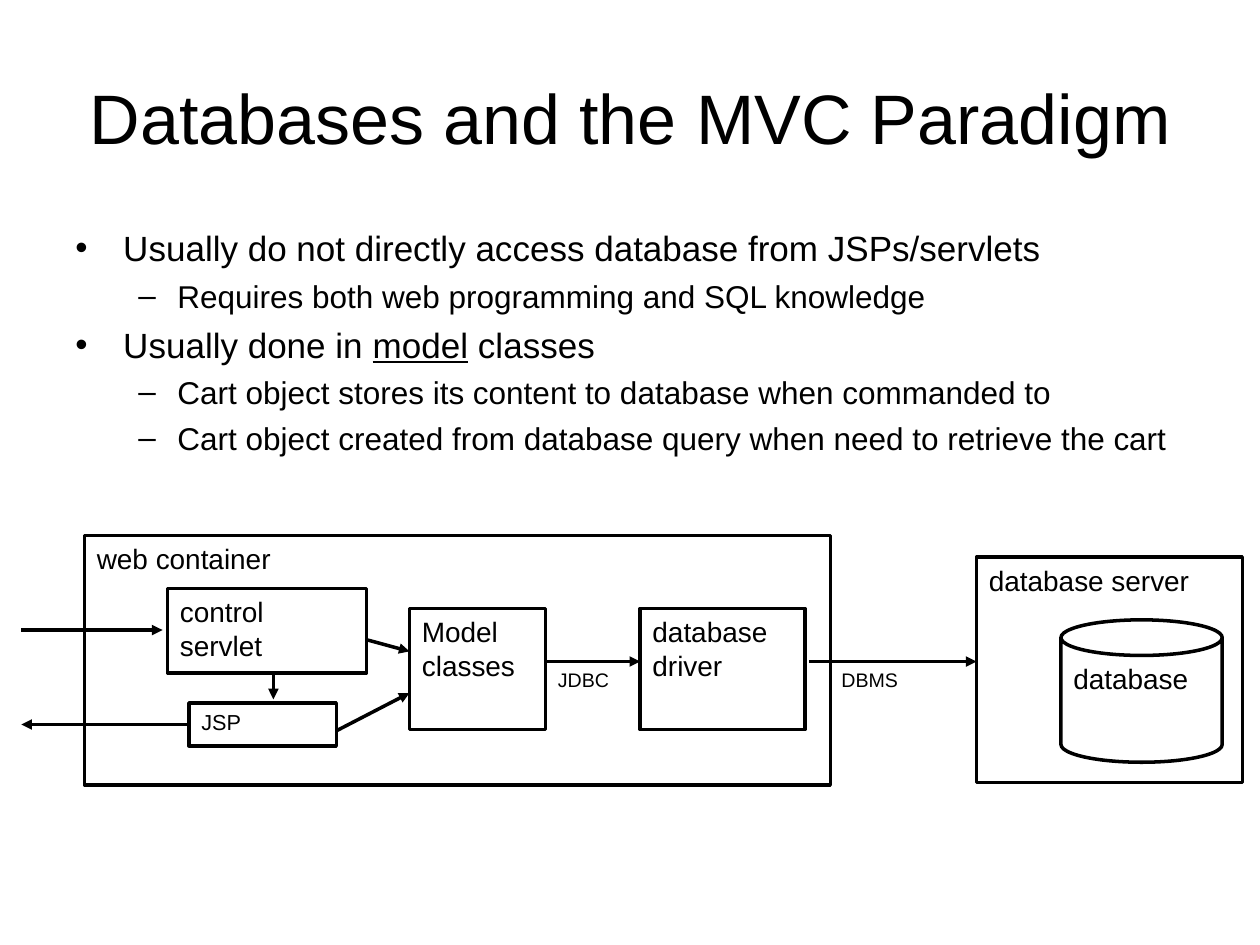
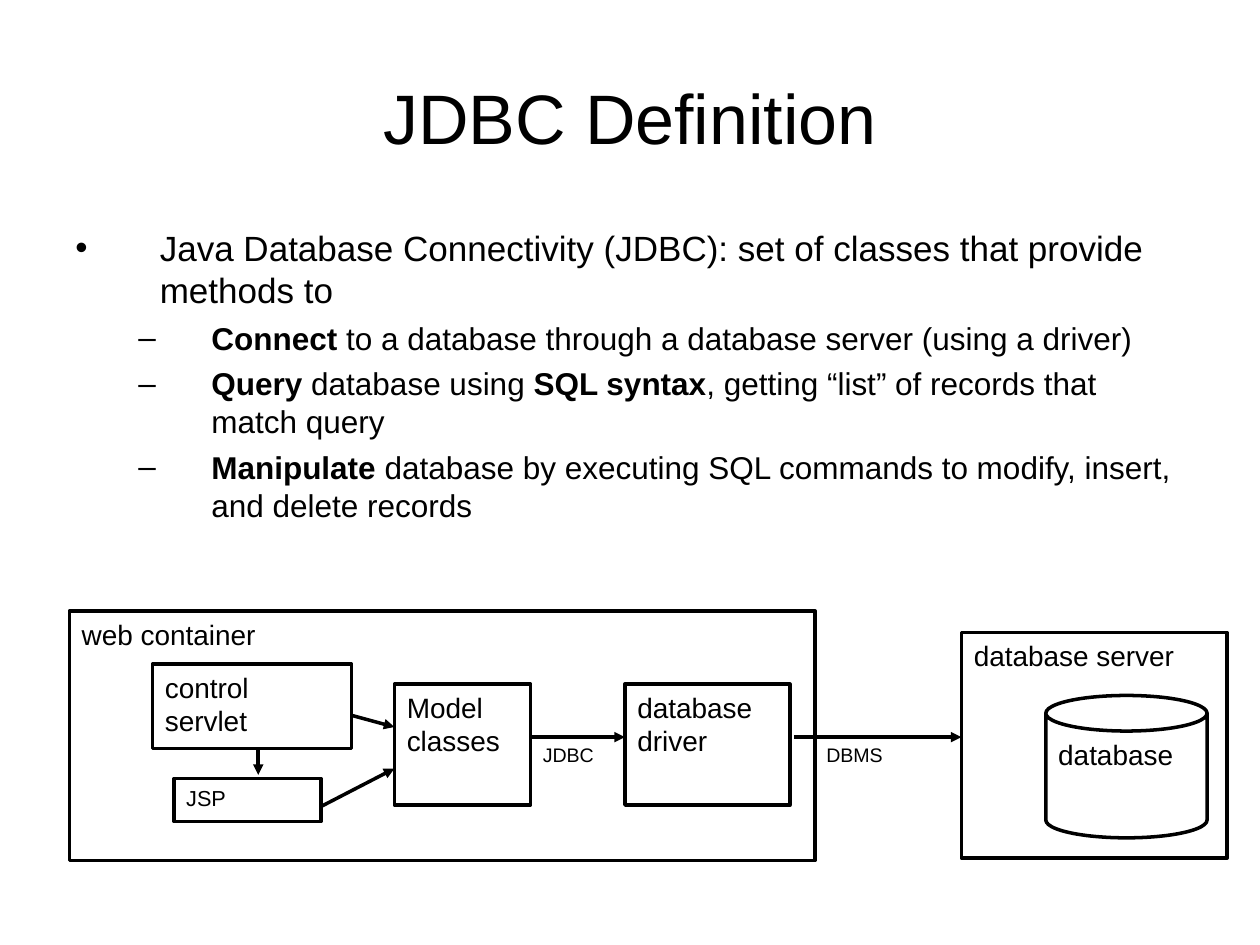
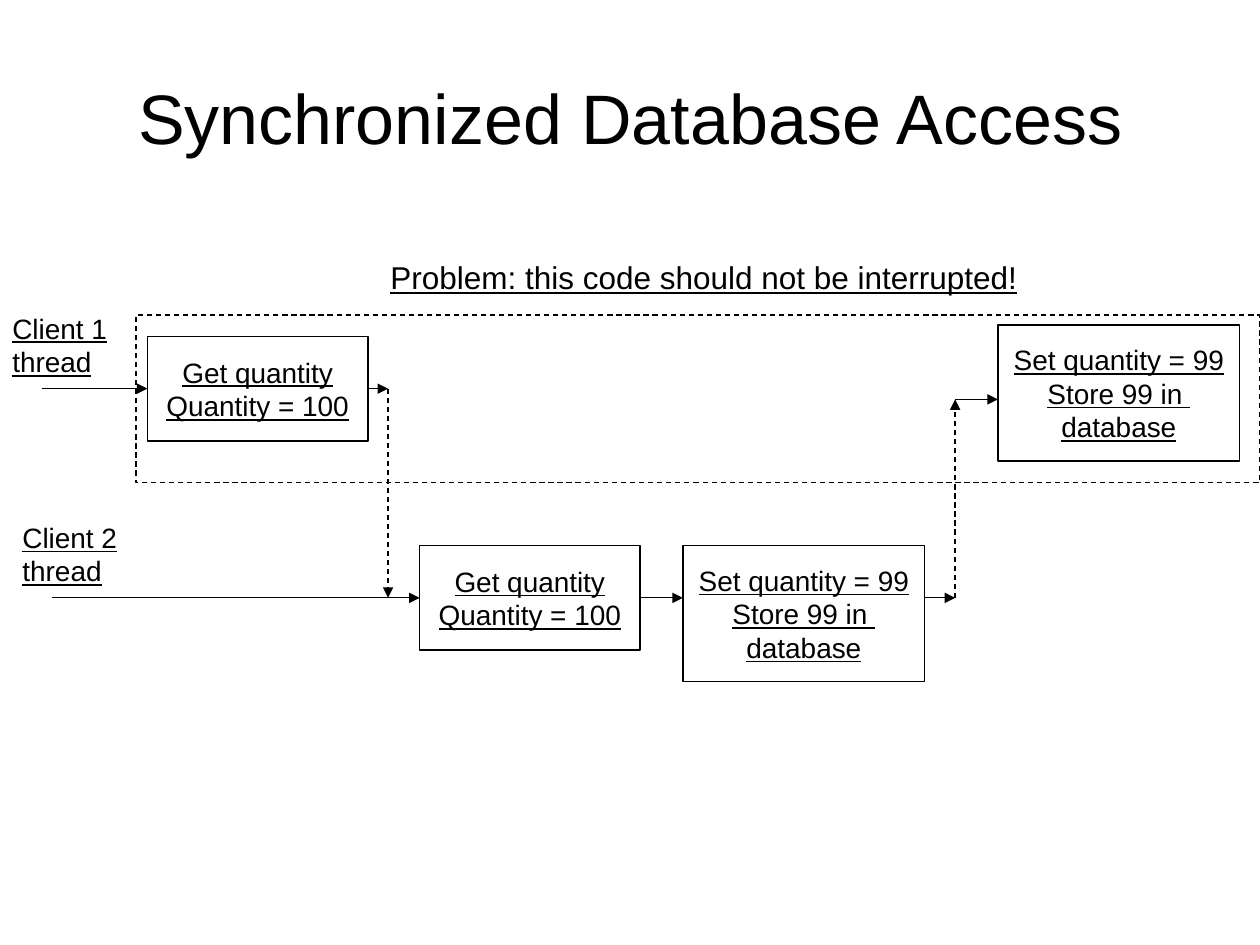
from lxml import etree
from pptx import Presentation
from pptx.dml.color import RGBColor
from pptx.enum.dml import MSO_LINE
from pptx.enum.shapes import MSO_CONNECTOR, MSO_SHAPE
from pptx.enum.text import MSO_ANCHOR, MSO_AUTO_SIZE, PP_ALIGN
from pptx.oxml.ns import qn
from pptx.util import Inches, Pt

RECT, CAN = MSO_SHAPE.RECTANGLE, MSO_SHAPE.CAN
STRAIGHT = MSO_CONNECTOR.STRAIGHT
DASH = MSO_LINE.DASH
TOP, MIDDLE = MSO_ANCHOR.TOP, MSO_ANCHOR.MIDDLE
LEFT, CENTER = PP_ALIGN.LEFT, PP_ALIGN.CENTER
GROW = MSO_AUTO_SIZE.SHAPE_TO_FIT_TEXT
LEFT_SIDE, RIGHT_SIDE = 1, 3

FONT = "Arial"
BLACK = "000000"
BOLD, UNDERLINE = {"bold": True}, {"underline": True}
THICK, THIN = 2, 0.75

# Bullet character, text size and space before for each level
LEVELS = [("•", 20, 5), ("–", 18, 4.5)]
# Left margin and hanging indent for each level
NARROW_INDENTS = [(0.38, -0.38), (0.81, -0.31)]
WIDE_INDENTS = [(0.67, -0.67), (1.08, -0.58)]


def color(hex_code):
    return RGBColor.from_string(hex_code)


def set_values(target, values):
    for name, value in values.items():
        setattr(target, name, value)


def add_span(para, text, size, **style):
    span = para.add_run()
    span.text = text
    set_values(span.font, {"name": FONT, "size": Pt(size), **style})
    span.font.color.rgb = color(BLACK)


def write_text(shape, paragraphs, size, align=LEFT, anchor=TOP, wrap=True, **style):
    """Fill a shape with paragraphs; a newline inside one is a line break."""
    frame = shape.text_frame
    set_values(frame, {"word_wrap": wrap, "vertical_anchor": anchor})
    for number, text in enumerate(paragraphs):
        para = frame.add_paragraph() if number else frame.paragraphs[0]
        para.alignment = align
        for row, line in enumerate(text.split("\n")):
            if row:
                para.add_line_break()
            add_span(para, line, size, **style)


def add_label(page, origin, box, text, size, grow=False, **style):
    left, top, width, height = box
    label = page.shapes.add_textbox(Inches(origin[0] + left), Inches(origin[1] + top),
                                    Inches(width), Inches(height))
    write_text(label, [text], size, **style)
    if grow:
        label.text_frame.auto_size = GROW
    return label


def add_box(page, origin, box, weight, kind=RECT, dash=None):
    left, top, width, height = box
    shape = page.shapes.add_shape(kind, Inches(origin[0] + left), Inches(origin[1] + top),
                                  Inches(width), Inches(height))
    shape.shadow.inherit = False
    shape.fill.background()
    shape.line.color.rgb = color(BLACK)
    set_values(shape.line, {"width": Pt(weight), "dash_style": dash})
    return shape


def add_arrow(page, origin, start, end, weight, dash=None, source=None, target=None):
    """Draw an arrow, joined to the right, left sides given by source and target."""
    ends = [Inches(base + offset) for point in (start, end)
            for base, offset in zip(origin, point)]
    arrow = page.shapes.add_connector(STRAIGHT, *ends)
    arrow.line.color.rgb = color(BLACK)
    set_values(arrow.line, {"width": Pt(weight), "dash_style": dash})
    outline = arrow.line._get_or_add_ln()
    etree.SubElement(outline, qn("a:tailEnd"), type="triangle")
    etree.SubElement(arrow._element.spPr, qn("a:effectLst"))
    if source:
        arrow.begin_connect(*source)
    if target:
        arrow.end_connect(*target)


def add_page(deck, title):
    page = deck.slides.add_slide(deck.slide_layouts[6])
    add_label(page, (0.5, 0.3), (0, 0, 9, 1.25), title, 40, align=CENTER, anchor=MIDDLE)
    return page


def add_bullets(page, box, items, indents):
    """Each item is a level followed by its (text, style) spans."""
    frame = page.shapes.add_textbox(*map(Inches, box)).text_frame
    frame.word_wrap = True
    for number, (level, *spans) in enumerate(items):
        para = frame.add_paragraph() if number else frame.paragraphs[0]
        mark, size, space = LEVELS[level]
        margin, hanging = indents[level]
        para.level = level
        para.space_before = Pt(space if number else 0)
        properties = para._p.get_or_add_pPr()
        properties.set("marL", str(Inches(margin)))
        properties.set("indent", str(Inches(hanging)))
        bullet_color = etree.SubElement(properties, qn("a:buClr"))
        etree.SubElement(bullet_color, qn("a:srgbClr"), val=BLACK)
        etree.SubElement(properties, qn("a:buFont"), typeface=FONT)
        etree.SubElement(properties, qn("a:buChar"), char=mark)
        for text, style in spans:
            add_span(para, text, size, **style)


def add_architecture(page, origin, with_client=False):
    """Web container and database server, placed from the container's corner."""
    parts = [
        ((0, 0, 5.92, 1.98), ["web container"], 16, RECT),
        ((0.66, 0.42, 1.58, 0.67), ["control", "servlet"], 16, RECT),
        ((7.08, 0.17, 2.11, 1.79), ["database server"], 16, RECT),
        ((7.75, 0.67, 1.28, 1.13), ["database"], 16, CAN),
        ((4.41, 0.58, 1.31, 0.96), ["database driver"], 16, RECT),
        ((2.58, 0.58, 1.08, 0.96), ["Model classes"], 16, RECT),
        ((0.83, 1.33, 1.17, 0.34), ["JSP"], 12.4, RECT),
    ]
    for box, paragraphs, size, kind in parts:
        shape = add_box(page, origin, box, THICK, kind)
        write_text(shape, paragraphs, size)
    jsp = shape

    # Calls between the parts
    calls = [
        ((1.5, 1.08), (1.5, 1.3)),
        ((2.25, 0.83), (2.58, 0.92)),
        ((2, 1.55), (2.58, 1.25)),
        ((3.66, 1), (4.41, 1)),
        ((5.75, 1), (7.08, 1)),
    ]
    for start, end in calls:
        add_arrow(page, origin, start, end, THICK)
    for left, text in [(3.66, "JDBC"), (5.91, "DBMS")]:
        add_label(page, origin, (left, 1, 1.12, 0.29), text, 11.2)

    # Request and response of the client
    if with_client:
        add_arrow(page, origin, (-0.5, 0.75), (0.62, 0.75), THICK)
        add_arrow(page, origin, (0.83, 1.5), (-0.5, 1.5), THICK, source=(jsp, LEFT_SIDE))


READ_SIZE = (1.75, 0.83)
STORE_SIZE = (1.92, 1.08)
LANE_MIDDLE = READ_SIZE[1] / 2


def add_step(page, origin, position, size, paragraphs):
    step = add_box(page, origin, (*position, *size), THIN)
    write_text(step, paragraphs, 16, align=CENTER, anchor=MIDDLE, wrap=False, **UNDERLINE)
    return step


def add_thread(page, origin, name, read_left, read_exit, store_position, store_entry):
    """One client's lane, placed from the label's left and the read step's top."""
    add_label(page, origin, (0, -0.25, 1.17, 0.64), name, 16, grow=True, **UNDERLINE)
    read = add_step(page, origin, (read_left, 0), READ_SIZE,
                    ["Get quantity", "Quantity = 100"])
    add_step(page, origin, store_position, STORE_SIZE,
             ["Set quantity = 99", "Store 99 in \ndatabase"])
    add_arrow(page, origin, (0.33, LANE_MIDDLE), (read_left, LANE_MIDDLE), THIN,
              target=(read, LEFT_SIDE))
    add_arrow(page, origin, (read_left + READ_SIZE[0], LANE_MIDDLE),
              (read_exit, LANE_MIDDLE), THIN, source=(read, RIGHT_SIDE))
    if store_entry:
        add_arrow(page, origin, store_entry, (store_position[0], store_entry[1]), THIN)


def add_interleaving(page, origin):
    """Two threads and the switches between them, placed from the slide's edge."""
    left, top = origin
    add_thread(page, origin, "Client 1 thread", 1.17, 3.08, (7.92, -0.09), (7.58, 0.5))
    add_thread(page, (left + 0.08, top + 1.66), "Client 2 thread", 3.25, 5.34,
               (5.34, 0), None)

    # Switches to the second thread and back
    first, second = LANE_MIDDLE, 1.66 + LANE_MIDDLE
    add_arrow(page, origin, (3.08, first), (3.08, second), THIN, DASH)
    add_arrow(page, origin, (7.33, second), (7.58, second), THIN)
    add_arrow(page, origin, (7.58, second), (7.58, 0.5), THIN, DASH)

    # Code that must run as a whole
    add_box(page, origin, (1.08, -0.17, 8.92, 1.33), THIN, dash=DASH)
    add_label(page, origin, (3, -0.67, 5.67, 0.4),
              "Problem: this code should not be interrupted!", 18, grow=True, **UNDERLINE)


def main():
    deck = Presentation()
    deck.slide_width, deck.slide_height = Inches(10), Inches(7.5)

    page = add_page(deck, "Databases and the MVC Paradigm")
    add_bullets(page, (0.5, 1.75, 9, 4.95), [
        (0, ("Usually do not directly access database from JSPs/servlets", {})),
        (1, ("Requires both web programming and SQL knowledge", {})),
        (0, ("Usually done in ", {}), ("model", UNDERLINE), (" classes", {})),
        (1, ("Cart object stores its content to database when commanded to", {})),
        (1, ("Cart object created from database query when need to retrieve the cart", {})),
    ], NARROW_INDENTS)
    add_architecture(page, (0.67, 4.25), with_client=True)

    page = add_page(deck, "JDBC Definition")
    add_bullets(page, (0.5, 1.75, 9, 2.67), [
        (0, ("Java Database Connectivity (JDBC): set of classes that provide methods to", {})),
        (1, ("Connect", BOLD),
         (" to a database through a database server (using a driver)", {})),
        (1, ("Query", BOLD), (" database using ", {}), ("SQL syntax", BOLD),
         (", getting “list” of records that match query", {})),
        (1, ("Manipulate", BOLD),
         (" database by executing SQL commands to modify, insert, and delete records", {})),
    ], WIDE_INDENTS)
    add_architecture(page, (0.55, 4.85))

    page = add_page(deck, "Synchronized Database Access")
    add_interleaving(page, (0, 2.67))

    deck.save("out.pptx")


if __name__ == "__main__":
    main()
